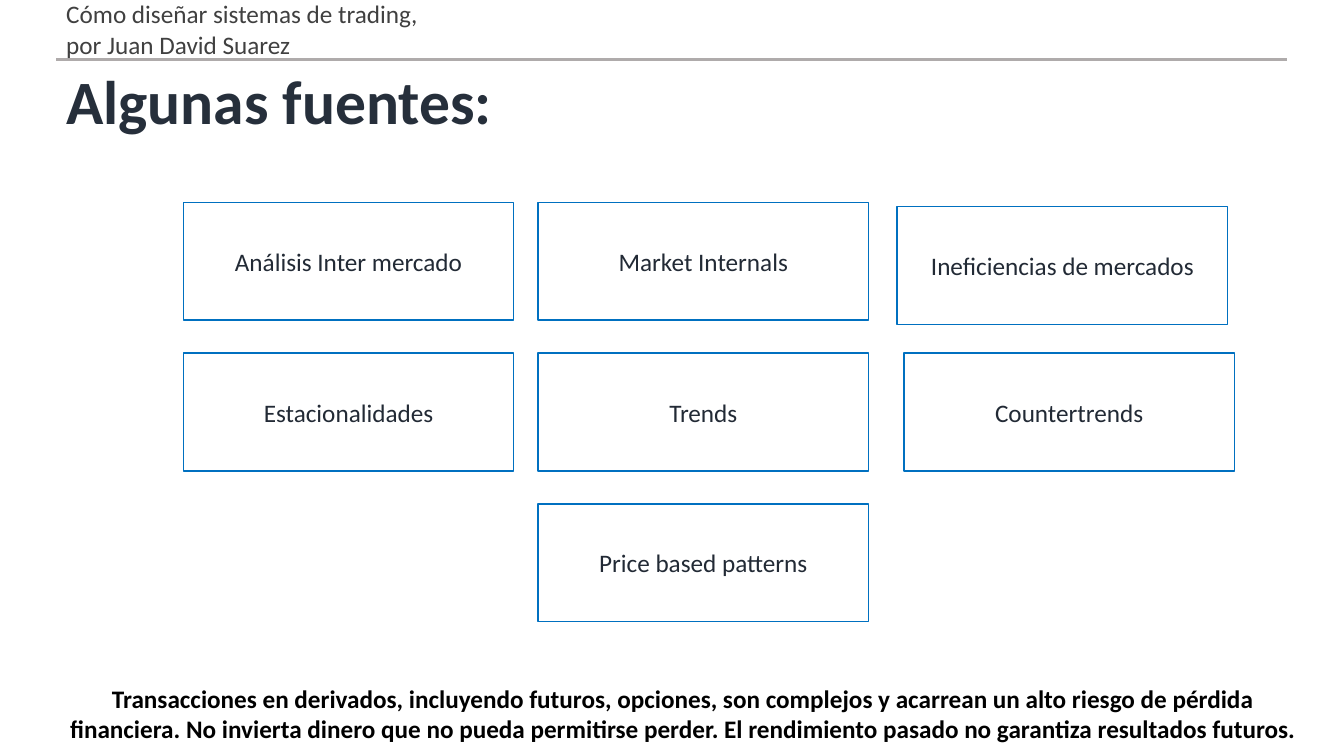
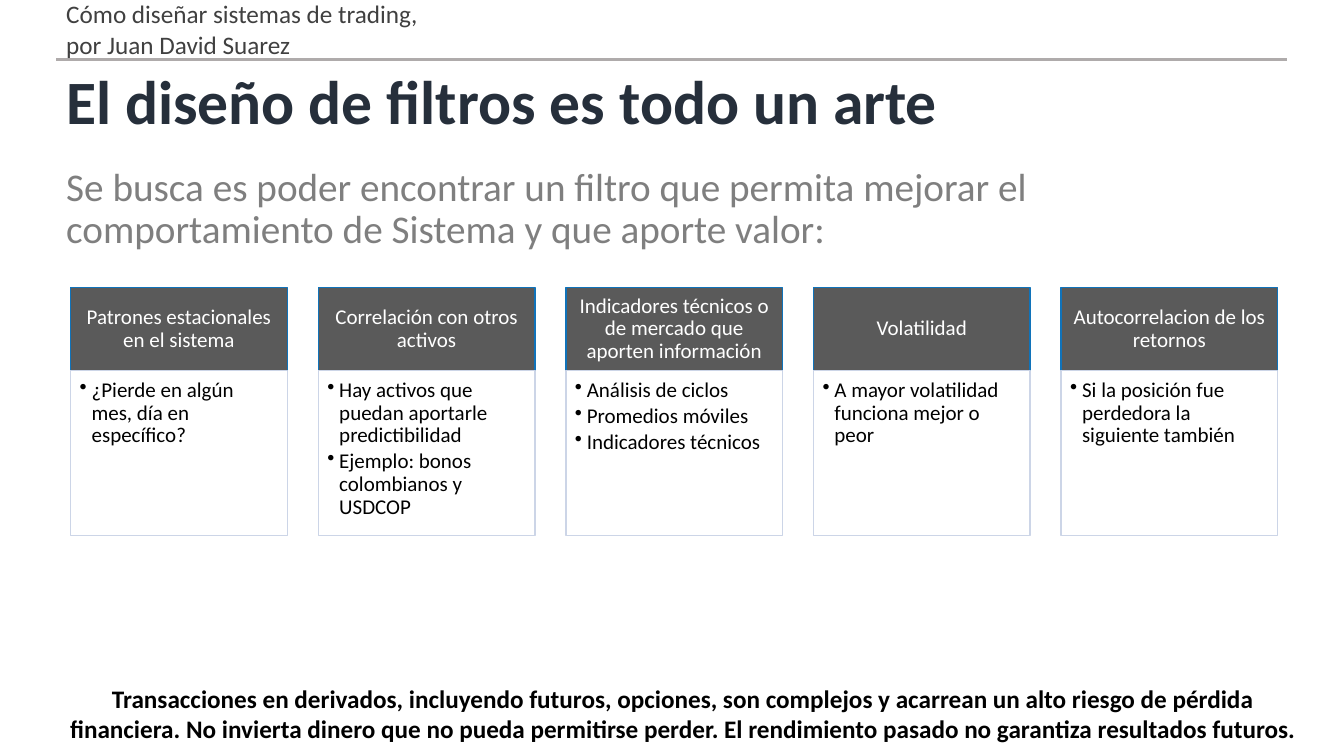
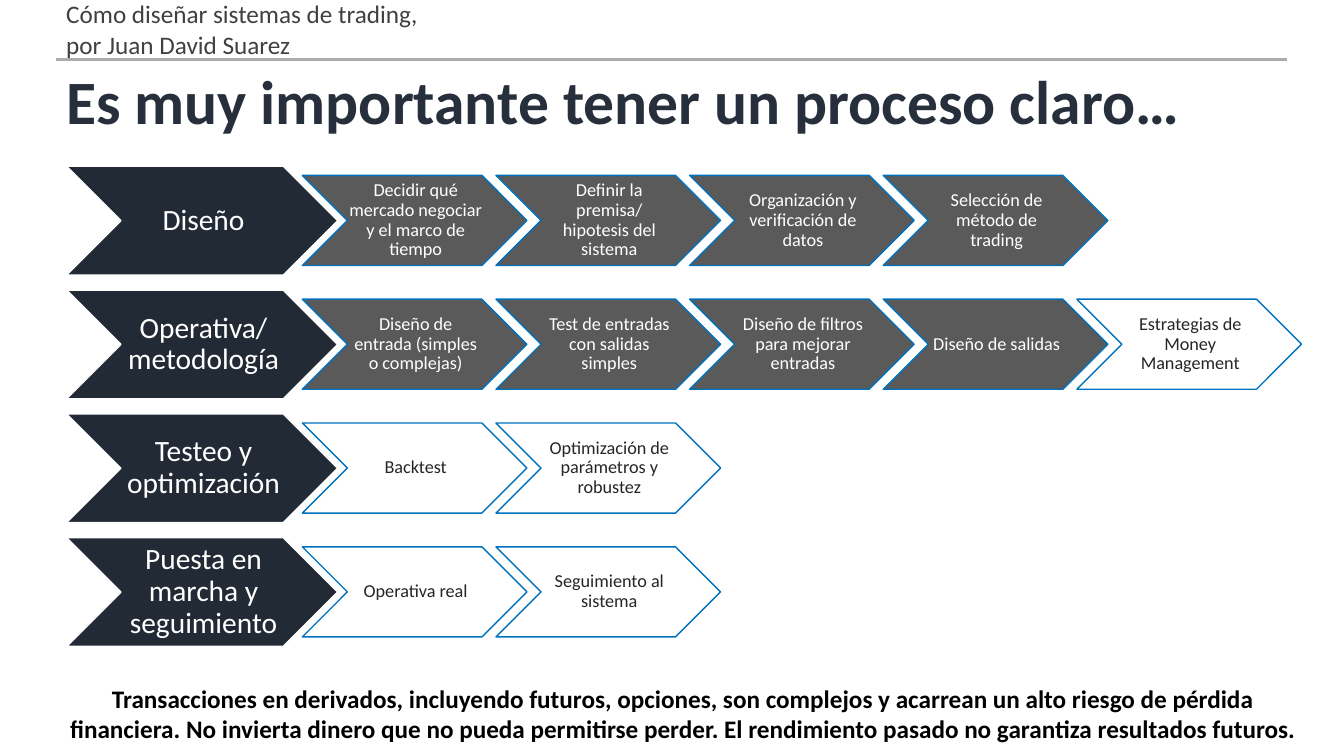
import pptx
import pptx.util
import pptx.dml.color
import pptx.enum.shapes
import pptx.enum.text
import lxml.etree

Cm = pptx.util.Cm
Pt = pptx.util.Pt
RGBColor = pptx.dml.color.RGBColor
SHAPE = pptx.enum.shapes.MSO_SHAPE
ALIGN = pptx.enum.text.PP_ALIGN
ANCHOR = pptx.enum.text.MSO_ANCHOR

FONT = "Calibri"
WHITE = RGBColor(0xFF, 0xFF, 0xFF)
BLACK = RGBColor(0x00, 0x00, 0x00)
NAVY = RGBColor(0x22, 0x2A, 0x35)
TITLE_COLOR = RGBColor(0x26, 0x2F, 0x3B)
HEADER_COLOR = RGBColor(0x40, 0x40, 0x40)
SUBTITLE_COLOR = RGBColor(0x7F, 0x7F, 0x7F)
STEP_TEXT = RGBColor(0x26, 0x26, 0x26)
RULE_COLOR = RGBColor(0xAF, 0xAB, 0xAB)
DARK_GRAY = RGBColor(0x5A, 0x5A, 0x5A)
CARD_BLUE = RGBColor(0x00, 0x70, 0xC0)
HEADING_BLUE = RGBColor(0x10, 0x73, 0xBA)
STEP_BLUE = RGBColor(0x00, 0x71, 0xBD)
PALE_BLUE = RGBColor(0xCC, 0xD5, 0xE7)

HEADER = "Cómo diseñar sistemas de trading, por Juan David Suarez"
FOOTER = (
    "Transacciones en derivados, incluyendo futuros, opciones, son complejos y "
    "acarrean un alto riesgo de pérdida financiera. No invierta dinero que no pueda "
    "permitirse perder. El rendimiento pasado no garantiza resultados futuros."
)
TITLES = [
    "Algunas fuentes:",
    "El diseño de filtros es todo un arte",
    "Es muy importante tener un proceso claro…",
]


def write(shape, lines, size, color, bold=False, align=ALIGN.CENTER,
          anchor=ANCHOR.MIDDLE, margins=(0.25, 0.13, 0.25, 0.13),
          line_spacing=1.0, bullets=False):
    frame = shape.text_frame
    frame.word_wrap = True
    frame.vertical_anchor = anchor
    frame.margin_left, frame.margin_top, frame.margin_right, frame.margin_bottom = map(Cm, margins)
    frame.text = "\n".join(lines)
    for paragraph in frame.paragraphs:
        paragraph.alignment = align
        paragraph.line_spacing = line_spacing
        if bullets:
            paragraph.space_after = Pt(2.25)
            properties = paragraph._p.get_or_add_pPr()
            properties.set("marL", str(Cm(0.3)))
            properties.set("indent", str(Cm(-0.3)))
            bullet = lxml.etree.SubElement(properties, pptx.oxml.ns.qn("a:buChar"))
            bullet.set("char", "•")
        for run in paragraph.runs:
            run.font.name = FONT
            run.font.size = Pt(size)
            run.font.bold = bold
            run.font.color.rgb = color


def add_box(slide, kind, left, top, width, height, fill, line):
    shape = slide.shapes.add_shape(kind, Cm(left), Cm(top), Cm(width), Cm(height))
    shape.shadow.inherit = False
    if fill is None:
        shape.fill.background()
    else:
        shape.fill.solid()
        shape.fill.fore_color.rgb = fill
    shape.line.color.rgb = line
    shape.line.width = Pt(1)
    return shape


presentation = pptx.Presentation()
presentation.slide_width = Cm(33.87)
presentation.slide_height = Cm(19.05)

for title in TITLES:
    slide = presentation.slides.add_slide(presentation.slide_layouts[6])
    rule = slide.shapes.add_connector(
        pptx.enum.shapes.MSO_CONNECTOR.STRAIGHT, Cm(1.42), Cm(1.5), Cm(32.44), Cm(1.5))
    rule.line.color.rgb = RULE_COLOR
    rule.line.width = Pt(1.5)
    lxml.etree.SubElement(rule._element.spPr, pptx.oxml.ns.qn("a:effectLst"))
    header_box = slide.shapes.add_textbox(Cm(1.42), Cm(0.3), Cm(9.98), Cm(0.86))
    write(header_box, [HEADER], 18, HEADER_COLOR, align=ALIGN.LEFT)
    footer_box = slide.shapes.add_textbox(Cm(1.42), Cm(17.17), Cm(31.6), Cm(1.6))
    write(footer_box, [FOOTER], 18, BLACK, bold=True)
    title_box = slide.shapes.add_textbox(Cm(1.42), Cm(1.63), Cm(30.99), Cm(2.01))
    write(title_box, [title], 44, TITLE_COLOR, bold=True, align=ALIGN.LEFT, line_spacing=0.9)

sources_slide, filters_slide, process_slide = presentation.slides

SOURCES = [
    ("Análisis Inter mercado", 4.62, 5.1),
    ("Market Internals", 13.56, 5.1),
    ("Ineficiencias de mercados", 22.61, 5.21),
    ("Estacionalidades", 4.62, 8.9),
    ("Trends", 13.56, 8.9),
    ("Countertrends", 22.78, 8.9),
    ("Price based patterns", 13.56, 12.7),
]
for name, left, top in SOURCES:
    card = add_box(sources_slide, SHAPE.RECTANGLE, left, top, 8.33, 2.97, None, CARD_BLUE)
    write(card, [name], 18, NAVY)

subtitle_box = filters_slide.shapes.add_textbox(Cm(1.42), Cm(4.09), Cm(30.99), Cm(2.6))
write(subtitle_box,
      ["Se busca es poder encontrar un filtro que permita mejorar el "
       "comportamiento de Sistema y que aporte valor:"],
      28, SUBTITLE_COLOR, align=ALIGN.LEFT, anchor=ANCHOR.TOP, line_spacing=0.9)

FILTERS = [
    ("Patrones estacionales en el sistema",
     ["¿Pierde en algún mes, día en específico?"]),
    ("Correlación con otros activos",
     ["Hay activos que puedan aportarle predictibilidad",
      "Ejemplo: bonos colombianos y USDCOP"]),
    ("Indicadores técnicos o de mercado que aporten información",
     ["Análisis de ciclos", "Promedios móviles", "Indicadores técnicos"]),
    ("Volatilidad",
     ["A mayor volatilidad funciona mejor o peor"]),
    ("Autocorrelacion de los retornos",
     ["Si la posición fue perdedora la siguiente también"]),
]
for column, (heading, points) in enumerate(FILTERS):
    left = 1.78 + column * 6.24
    heading_box = add_box(filters_slide, SHAPE.RECTANGLE, left, 7.24, 5.46, 2.1,
                          DARK_GRAY, HEADING_BLUE)
    write(heading_box, [heading], 15, WHITE, margins=(0.3, 0.17, 0.3, 0.17), line_spacing=0.9)
    points_box = add_box(filters_slide, SHAPE.RECTANGLE, left, 9.33, 5.46, 4.17,
                         None, PALE_BLUE)
    write(points_box, points, 15, BLACK, align=ALIGN.LEFT, anchor=ANCHOR.TOP,
          margins=(0.23, 0.23, 0.3, 0.34), line_spacing=0.9, bullets=True)

STAGES = [
    ("Diseño", 4,
     ["Decidir qué mercado negociar y el marco de tiempo",
      "Definir la premisa/ hipotesis del sistema",
      "Organización y verificación de datos",
      "Selección de método de trading"]),
    ("Operativa/ metodología", 4,
     ["Diseño de entrada (simples o complejas)",
      "Test de entradas con salidas simples",
      "Diseño de filtros para mejorar entradas",
      "Diseño de salidas",
      "Estrategias de Money Management"]),
    ("Testeo y optimización", 0,
     ["Backtest", "Optimización de parámetros y robustez"]),
    ("Puesta en marcha y seguimiento", 0,
     ["Operativa real", "Seguimiento al sistema"]),
]
for row, (stage, filled_count, steps) in enumerate(STAGES):
    top = 4.19 + row * 3.12
    stage_arrow = add_box(process_slide, SHAPE.CHEVRON, 1.68, top, 6.83, 2.74, NAVY, WHITE)
    write(stage_arrow, [stage], 21, WHITE, margins=(0.07, 0.03, 0, 0.03), line_spacing=0.9)
    for column, step in enumerate(steps):
        filled = column < filled_count
        step_arrow = add_box(process_slide, SHAPE.CHEVRON, 7.62 + column * 4.88, top + 0.23,
                             5.66, 2.27, DARK_GRAY if filled else None, STEP_BLUE)
        write(step_arrow, [step], 13, WHITE if filled else STEP_TEXT,
              margins=(0.05, 0.03, 0, 0.03), line_spacing=0.9)

presentation.save("out.pptx")
